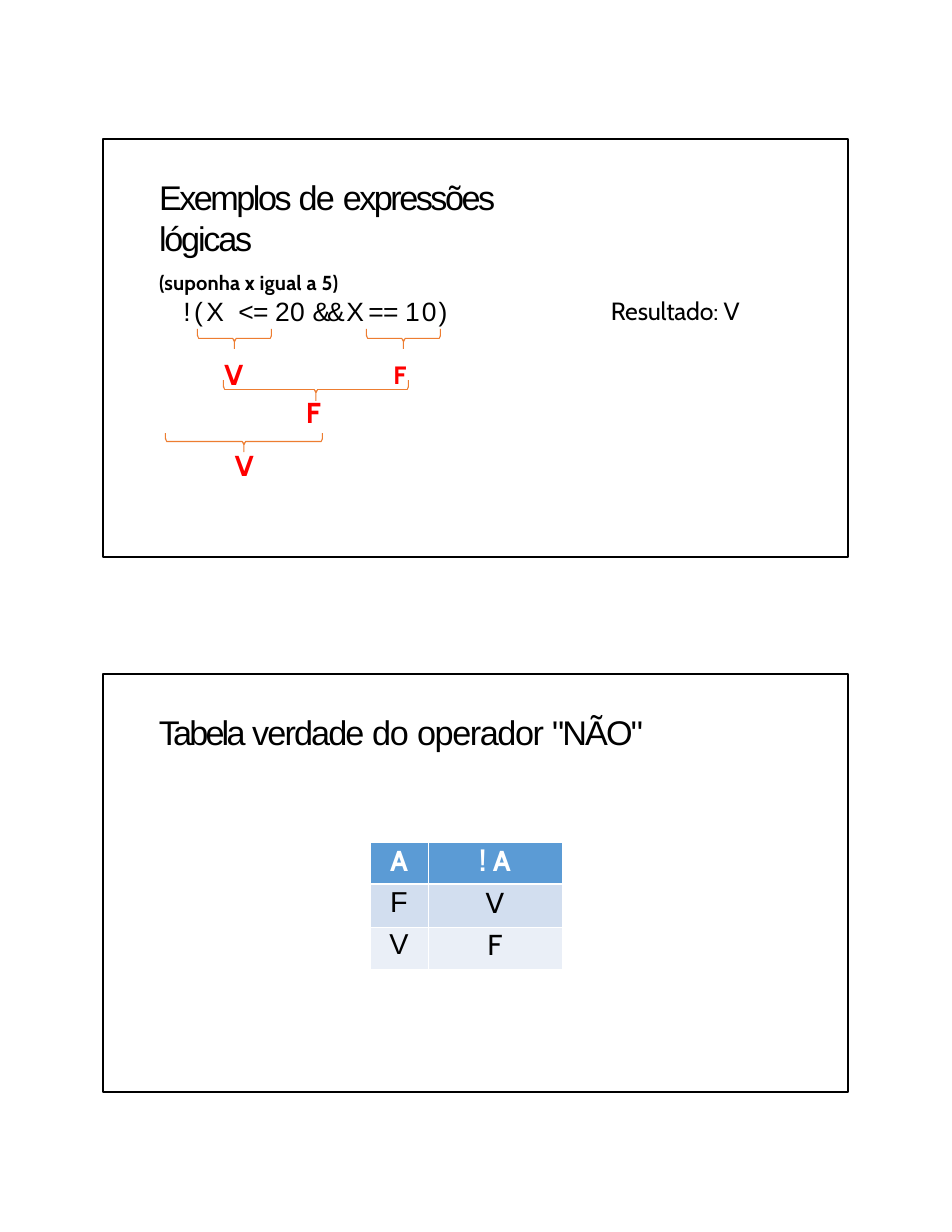
from lxml.etree import SubElement
from pptx import Presentation
from pptx.dml.color import RGBColor
from pptx.enum.shapes import MSO_SHAPE
from pptx.enum.text import MSO_AUTO_SIZE, PP_ALIGN
from pptx.oxml.ns import qn
from pptx.util import Inches, Pt

PIXEL = Inches(1) / 112
COLORS = {"black": "000000", "white": "FFFFFF", "red": "FF0000", "brace": "ED7D31",
          "header": "5B9BD5", "odd": "D2DEEF", "even": "EAEFF7"}
LEFT, CENTER, RIGHT = PP_ALIGN.LEFT, PP_ALIGN.CENTER, PP_ALIGN.RIGHT
TITLE = ("Arial", 22, "black", False)
NOTE = ("Cabin", 13, "black", True)
CODE = ("Arial", 17, "black", False)
VALUE = ("Cabin", 18.5, "red", True)
RESULT = ("Cabin", 16, "black", False)

FRAMES = [(103, 139, 745, 418), (103, 674, 745, 418)]
TEXTS = [
    {"at": (134, 156, 458, 100), "top": 20, "paras": [
        (TITLE, LEFT, 13.1, 25, [("Exemplos ", -1.6), ("de ", -1.1),
                                 ("expressões ", -1.6), ("lógicas", -1.4)]),
        (NOTE, LEFT, 7.7, 25, [("(suponha x igual a 5)", 0.1)])]},
    {"at": (160, 279, 311, 100), "top": 16, "paras": [
        (CODE, CENTER, 10.3, 0, [("!(X ", 2.2), ("<= ", -0.5), ("20 ", 0.1),
                                 ("&& X ", -1.9), ("== ", -0.5), ("10)", 1.3)]),
        (VALUE, CENTER, 10.2, 0, [("V\t", 0.1), ("F", 0.1)])]},
    {"at": (235, 375, 86, 109), "top": 20, "paras": [
        (VALUE, RIGHT, 12.8, 0, [("F", 0.1)]),
        (VALUE, LEFT, 11.9, 0, [("V", 0.1)])]},
    {"at": (611, 295, 129, 32), "top": 1, "paras": [
        (RESULT, LEFT, 0.9, 0, [("Resultado: V", -0.1)])]},
    {"at": (158, 710, 486, 44), "top": 1, "paras": [
        (TITLE, LEFT, 0.9, 1, [("Tabela ", -1.8), ("verdade ", -1.2), ("do ", -0.8),
                               ("operador ", -0.9), ('"NÃO"', -1.2)])]},
]
BRACE_PAIRS = [
    [(197, 272, 329, 338, 349), (366, 441, 329, 338, 349)],
    [(165, 323, 433, 441, 452), (223, 409, 380, 389, 401)],
]
TRUTH = [("A", "! A"), ("F", "V"), ("V", "F")]
TRUTH_AT, COLUMNS, ROW = (370, 842), (58, 134), 42.5


def px(*values):
    return [round(value * PIXEL) for value in values]


def color(name):
    return RGBColor.from_string(COLORS[name])


def style(para, look, align, before):
    face, size, ink, bold = look
    para.alignment = align
    para.space_before = Pt(before)
    para.font.name, para.font.size, para.font.bold = face, Pt(size), bold
    para.font.color.rgb = color(ink)


def add_text(page, at, top, paras):
    frame = page.shapes.add_textbox(*px(*at)).text_frame
    frame.word_wrap = True
    frame.auto_size = MSO_AUTO_SIZE.SHAPE_TO_FIT_TEXT
    frame.margin_left = frame.margin_right = frame.margin_bottom = 0
    frame.margin_top = px(top)[0]
    for index, (look, align, before, indent, spans) in enumerate(paras):
        para = frame.paragraphs[0] if index == 0 else frame.add_paragraph()
        style(para, look, align, before)
        if indent:
            para._p.get_or_add_pPr().set("marL", str(px(indent)[0]))
        for words, spacing in spans:
            span = para.add_run()
            span.text = words
            span.font._element.set("spc", str(round(spacing * 100)))
    return frame


def set_tab(para, position):
    properties = para._p.get_or_add_pPr()
    stops = SubElement(properties, qn("a:tabLst"))
    SubElement(stops, qn("a:tab"), pos=str(px(position)[0]), algn="l")
    default = properties.find(qn("a:defRPr"))
    if default is not None:
        default.addprevious(stops)


def brace_outline(left, right, top, bar, tip):
    middle = (left + right) / 2
    outer = [(left, top), (left, bar - 2), (left + 1.5, bar + 1), (middle - 2, bar + 1),
             (middle - 0.5, bar + 4), (middle - 0.5, tip)]
    inner = [(middle, bar + 2), (middle - 1.5, bar), (left + 2, bar),
             (left + 1, bar - 3), (left + 1, top)]

    def mirror(points):
        return [(left + right - x, y) for x, y in reversed(points)]

    points = outer + mirror(outer) + mirror(inner) + inner
    return [tuple(px(*point)) for point in points]


def add_braces(page, braces):
    outlines = [brace_outline(*brace) for brace in braces]
    builder = page.shapes.build_freeform(*outlines[0][0], scale=1.0)
    for index, outline in enumerate(outlines):
        if index:
            builder.move_to(*outline[0])
        builder.add_line_segments(outline[1:], close=True)
    shape = builder.convert_to_shape()
    shape.shadow.inherit = False
    shape.fill.solid()
    shape.fill.fore_color.rgb = color("brace")
    shape.line.fill.background()


def add_frame(page, at):
    shape = page.shapes.add_shape(MSO_SHAPE.RECTANGLE, *px(*at))
    shape.shadow.inherit = False
    shape.fill.background()
    shape.line.color.rgb = color("black")
    shape.line.width = Pt(0.96)


def set_borders(cell, widths):
    properties = cell._tc.get_or_add_tcPr()
    for index, (side, width) in enumerate(widths.items()):
        border = SubElement(properties, qn("a:ln" + side), w=str(Pt(width)))
        fill = SubElement(border, qn("a:solidFill"))
        SubElement(fill, qn("a:srgbClr"), val=COLORS["white"])
        properties.insert(index, border)


def add_truth_table(page):
    size = (sum(COLUMNS), ROW * len(TRUTH))
    table = page.shapes.add_table(len(TRUTH), len(COLUMNS), *px(*TRUTH_AT, *size)).table
    for column, width in zip(table.columns, px(*COLUMNS)):
        column.width = width
    for r, values in enumerate(TRUTH):
        table.rows[r].height = px(ROW)[0]
        for c, value in enumerate(values):
            cell = table.cell(r, c)
            cell.margin_left = cell.margin_right = cell.margin_bottom = 0
            cell.margin_top = px(2 if r == 0 or c == 0 else 1)[0]
            cell.fill.solid()
            cell.fill.fore_color.rgb = color(("header", "odd", "even")[r])
            para = cell.text_frame.paragraphs[0]
            para.text = value
            face = "Arial" if r and c == 0 else "Cabin"
            ink = "black" if r else "white"
            style(para, (face, 18.5, ink, r == 0), CENTER, 1.1)
            set_borders(cell, {"L": 0.5, "R": 0.5, "T": 1.5 if r == 1 else 0.5,
                               "B": 1.5 if r == 0 else 0.5})


deck = Presentation()
deck.slide_width, deck.slide_height = Inches(8.5), Inches(11)
page = deck.slides.add_slide(deck.slide_layouts[6])
for pair in BRACE_PAIRS:
    add_braces(page, pair)
frames = [add_text(page, **text) for text in TEXTS]
values = frames[1].paragraphs[1]
set_tab(values, 169)
values.runs[1].font.size = Pt(27.8)
values.runs[1].font._element.set("baseline", "2000")
for at in FRAMES:
    add_frame(page, at)
add_truth_table(page)
deck.save("out.pptx")
